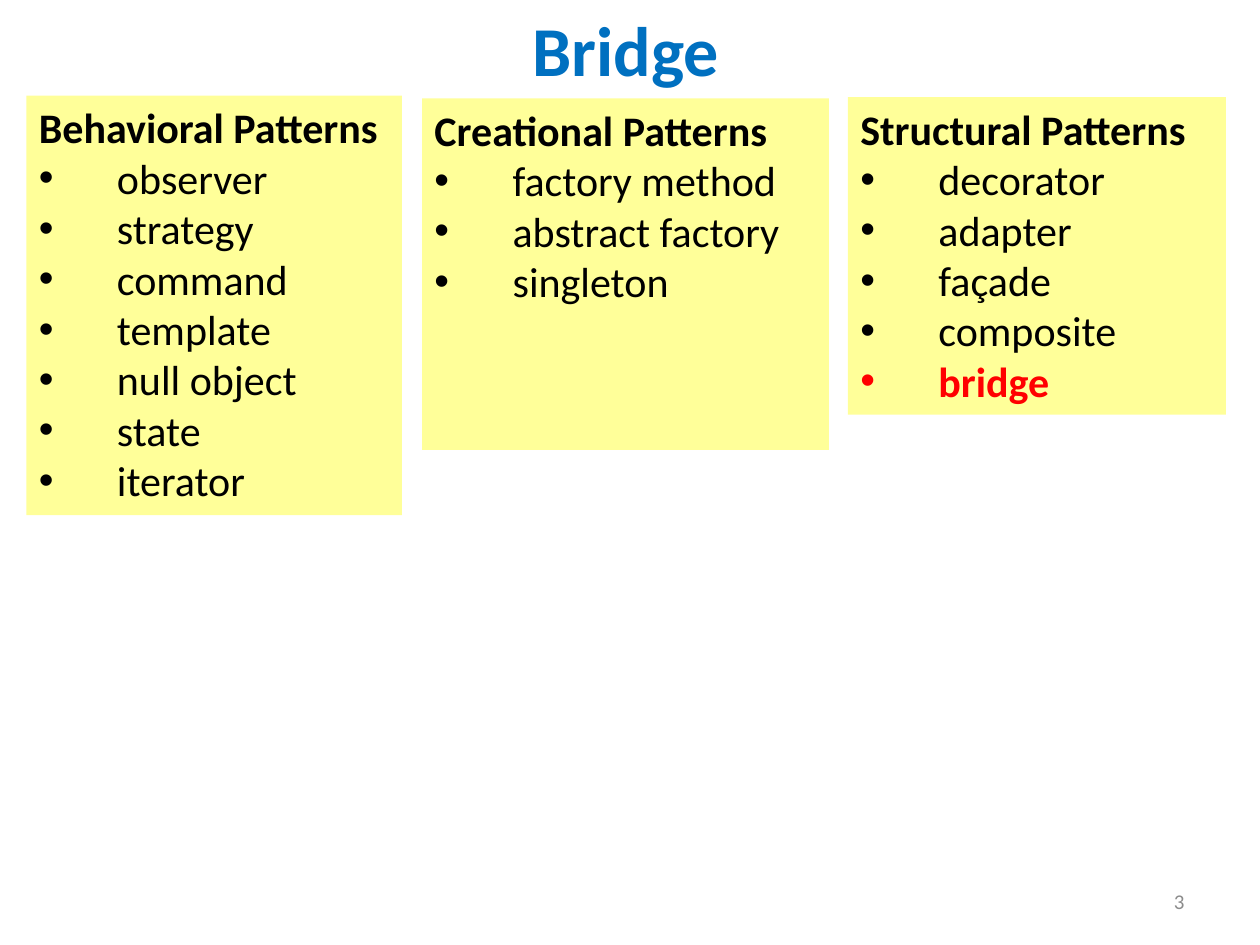
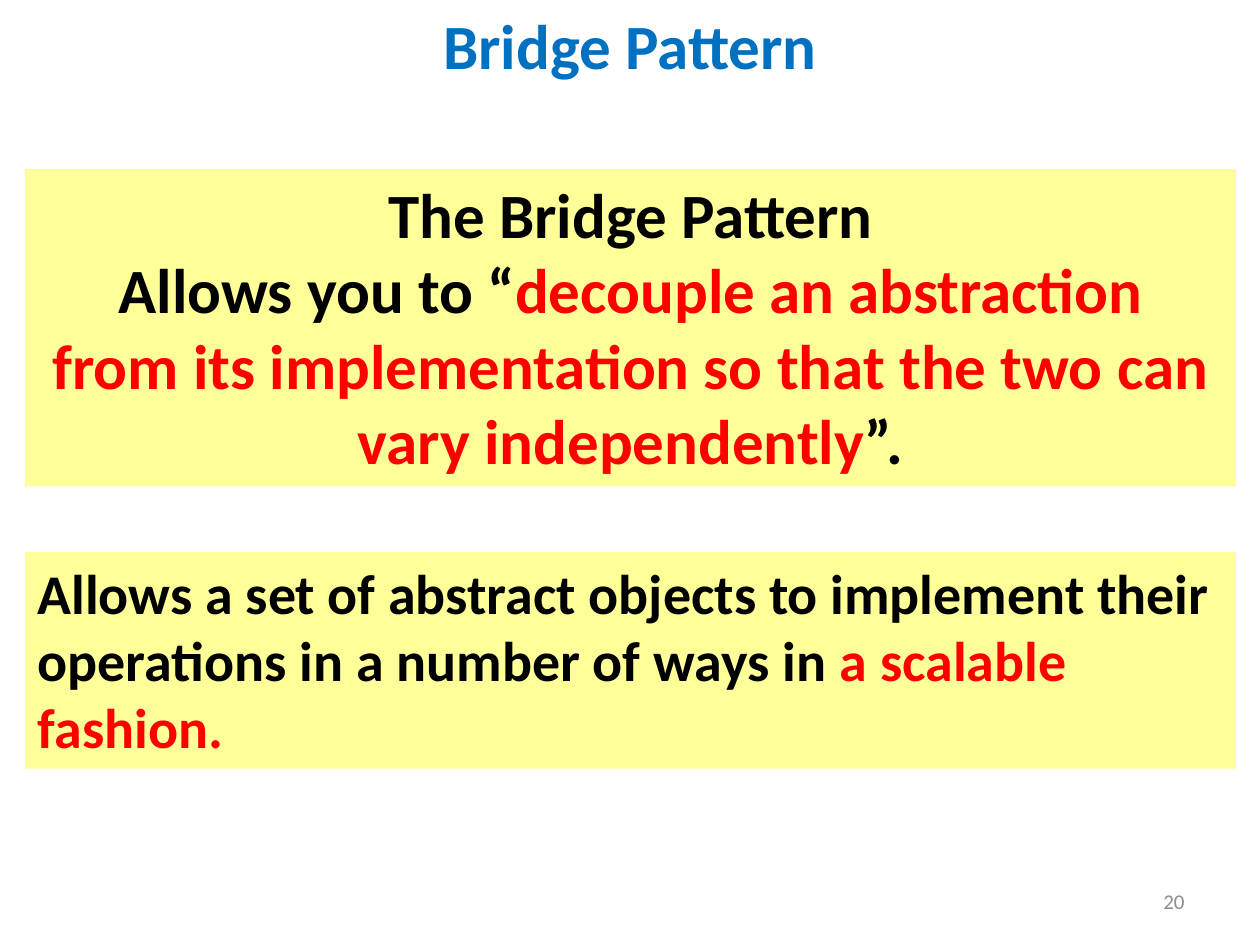
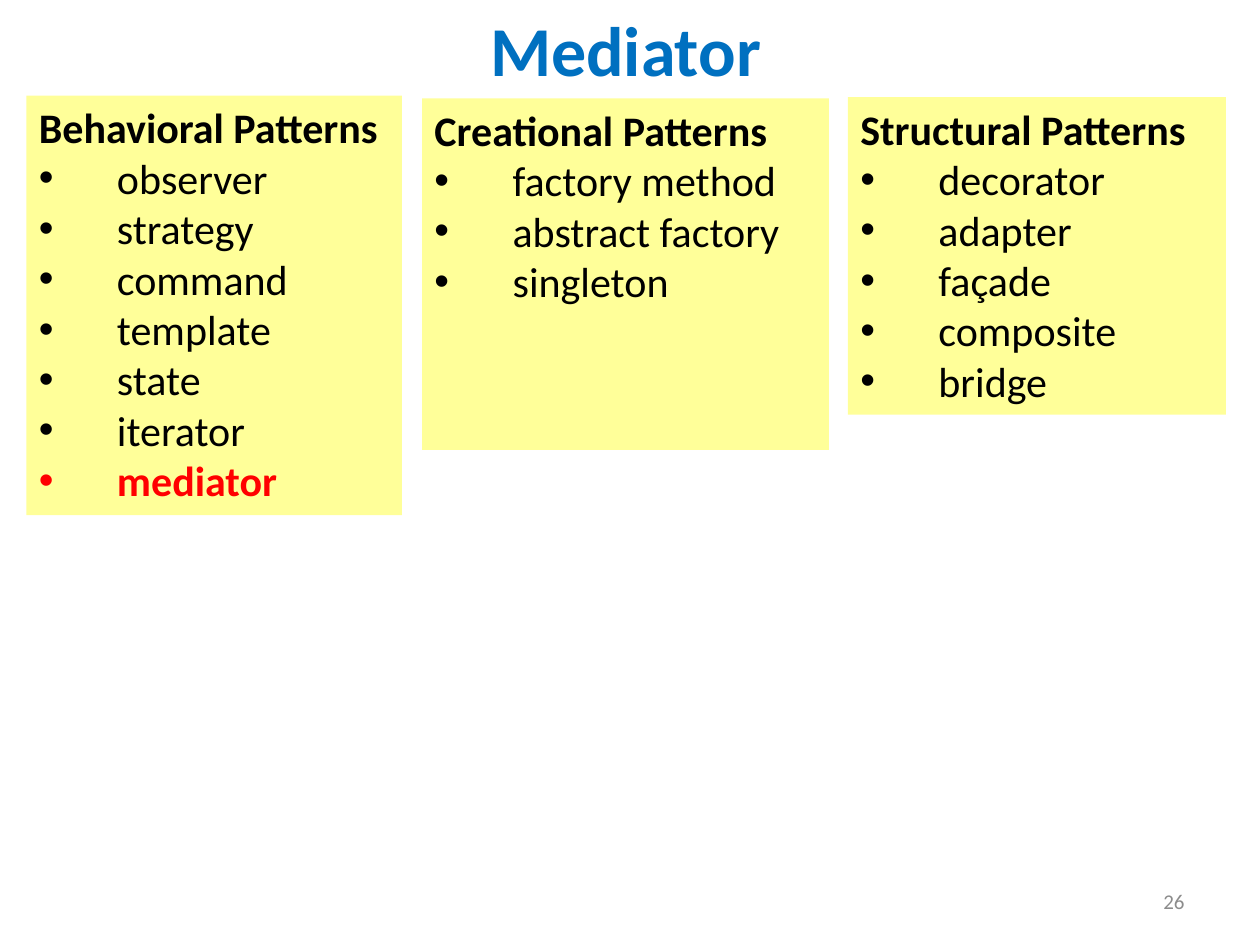
import dataclasses

import pptx
import pptx.dml.color
import pptx.enum.shapes
import pptx.enum.text
import pptx.oxml.ns
import pptx.util
from lxml import etree
from pptx.util import Inches

ALIGN = pptx.enum.text.PP_ALIGN
ANCHOR = pptx.enum.text.MSO_ANCHOR


@dataclasses.dataclass(frozen=True)
class Theme:
    """Colours, font, type sizes and indent shared by the slides."""
    font: str = "Calibri"
    title: str = "0070C0"
    text: str = "000000"
    accent: str = "FF0000"
    panel: str = "FFFF99"
    number: str = "8C8C8C"
    topic_size: int = 40
    heading_size: int = 36
    statement_size: int = 32
    list_size: int = 24
    number_size: int = 12
    bullet_indent: float = 0.62


THEME = Theme()
TOPIC_BOX = (3.35, 0, 3.23, 0.77)
HEADING_BOX = (0, 0, 10, 0.71)
NUMBER_BOX = (7.17, 6.95, 2.33, 0.4)
DEFINITION_BOX = (0.2, 1.34, 9.61, 2.52)
PURPOSE_BOX = (0.2, 4.38, 9.61, 1.72)
CATALOG_BOXES = {
    "Behavioral Patterns": (0.21, 0.76, 2.98, 3.33),
    "Creational Patterns": (3.35, 0.78, 3.23, 2.79),
    "Structural Patterns": (6.73, 0.77, 3, 2.52),
}
CREATIONAL = ["factory method", "abstract factory", "singleton"]
STRUCTURAL = ["decorator", "adapter", "façade", "composite", "bridge"]


def add_run(paragraph, text, size, color=THEME.text, bold=True):
    """Append one formatted run to a paragraph."""
    run = paragraph.add_run()
    run.text = text
    run.font.name = THEME.font
    run.font.size = pptx.util.Pt(size)
    run.font.bold = bold
    run.font.color.rgb = pptx.dml.color.RGBColor.from_string(color)


def set_bullet(paragraph):
    """Give a paragraph a round bullet with a hanging indent."""
    properties = paragraph._p.get_or_add_pPr()
    indent = Inches(THEME.bullet_indent)
    properties.set("marL", str(indent))
    properties.set("indent", str(-indent))
    qualified = pptx.oxml.ns.qn
    etree.SubElement(properties, qualified("a:buFont"), typeface="Arial")
    etree.SubElement(properties, qualified("a:buChar"), char="•")


def next_paragraph(frame, alignment=ALIGN.LEFT):
    """Return the unused first paragraph of a frame, or a new one."""
    first = frame.paragraphs[0]
    paragraph = frame.add_paragraph() if first.runs else first
    paragraph.alignment = alignment
    return paragraph


def add_slide(presentation, title, box, size, number):
    """Add a slide with its title and its number."""
    slide = presentation.slides.add_slide(presentation.slide_layouts.get_by_name("Title Only"))
    heading = slide.shapes.title
    heading.left, heading.top, heading.width, heading.height = map(Inches, box)
    frame = heading.text_frame
    frame.vertical_anchor = ANCHOR.TOP
    frame.auto_size = pptx.enum.text.MSO_AUTO_SIZE.NONE
    add_run(next_paragraph(frame, ALIGN.CENTER), title, size, THEME.title)

    frame = slide.shapes.add_textbox(*map(Inches, NUMBER_BOX)).text_frame
    frame.word_wrap = True
    frame.vertical_anchor = ANCHOR.MIDDLE
    add_run(next_paragraph(frame, ALIGN.RIGHT), str(number), THEME.number_size, THEME.number, False)
    return slide


def add_panel(slide, box):
    """Add a yellow panel and return its text frame."""
    shape = slide.shapes.add_shape(pptx.enum.shapes.MSO_SHAPE.RECTANGLE, *map(Inches, box))
    shape.shadow.inherit = False
    shape.fill.solid()
    shape.fill.fore_color.rgb = pptx.dml.color.RGBColor.from_string(THEME.panel)
    shape.line.fill.background()
    frame = shape.text_frame
    frame.word_wrap = True
    frame.vertical_anchor = ANCHOR.TOP
    return frame


def add_pattern_list(slide, box, heading, patterns, current):
    """Add a panel listing patterns, with the current one highlighted."""
    frame = add_panel(slide, box)
    add_run(next_paragraph(frame), heading, THEME.list_size)
    for pattern in patterns:
        paragraph = next_paragraph(frame)
        set_bullet(paragraph)
        active = pattern == current
        add_run(paragraph, pattern, THEME.list_size, THEME.accent if active else THEME.text, active)


def add_statement(slide, box, lines, size, alignment):
    """Add a panel of bold lines, each a list of text and colour pairs."""
    frame = add_panel(slide, box)
    for line in lines:
        paragraph = next_paragraph(frame, alignment)
        for text, color in line:
            add_run(paragraph, text, size, color)


def build_catalog_slide(presentation, title, number, behavioral, current):
    """Build a slide that places a pattern among the three families."""
    slide = add_slide(presentation, title, TOPIC_BOX, THEME.topic_size, number)
    families = (behavioral, CREATIONAL, STRUCTURAL)
    for (heading, box), patterns in zip(CATALOG_BOXES.items(), families):
        add_pattern_list(slide, box, heading, patterns, current)


def build_definition_slide(presentation):
    """Build the slide that defines the bridge pattern."""
    slide = add_slide(presentation, "Bridge Pattern", HEADING_BOX, THEME.heading_size, 20)
    definition = [
        [("The Bridge Pattern", THEME.text)],
        [("Allows you to “", THEME.text), ("decouple an abstraction", THEME.accent)],
        [("from its implementation so that the two can vary independently", THEME.accent),
         ("”.", THEME.text)],
    ]
    purpose = [[
        ("Allows a set of abstract objects to implement their operations in a number of ways in ",
         THEME.text),
        ("a scalable fashion.", THEME.accent),
    ]]
    add_statement(slide, DEFINITION_BOX, definition, THEME.heading_size, ALIGN.CENTER)
    add_statement(slide, PURPOSE_BOX, purpose, THEME.statement_size, ALIGN.LEFT)


def main():
    """Build and save the presentation."""
    presentation = pptx.Presentation()
    presentation.slide_width = Inches(10)
    presentation.slide_height = Inches(7.5)
    basics = ["observer", "strategy", "command", "template"]
    build_catalog_slide(presentation, "Bridge", 3,
                        basics + ["null object", "state", "iterator"], "bridge")
    build_definition_slide(presentation)
    build_catalog_slide(presentation, "Mediator", 26,
                        basics + ["state", "iterator", "mediator"], "mediator")
    presentation.save("out.pptx")


if __name__ == "__main__":
    main()
